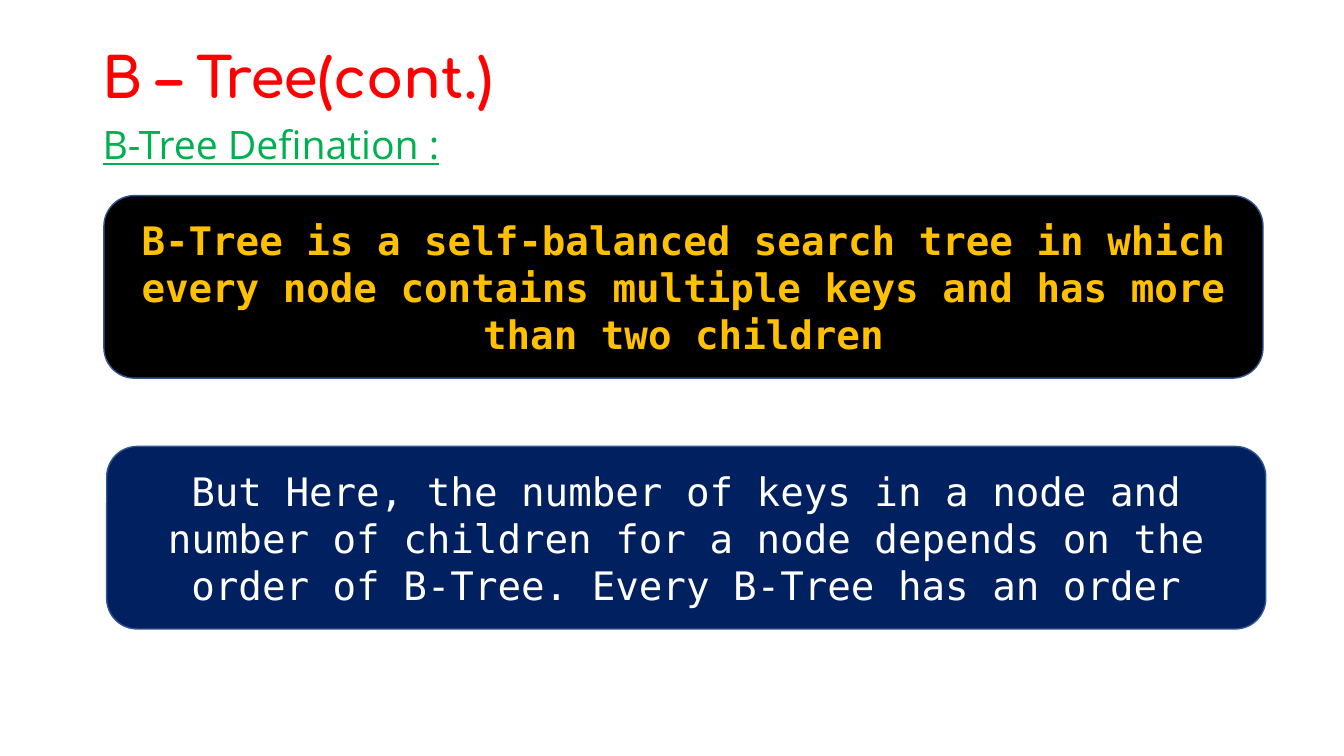
import pptx
import pptx.dml.color
import pptx.enum.shapes
import pptx.enum.text
import pptx.util
from lxml import etree

Cm = pptx.util.Cm
Pt = pptx.util.Pt
ALIGN = pptx.enum.text.PP_ALIGN
ANCHOR = pptx.enum.text.MSO_ANCHOR


def rgb(value):
    """Turn a hex string into a colour."""
    return pptx.dml.color.RGBColor.from_string(value)


def place(sp, box):
    """Move a shape to a box of left, top, width and height in centimetres."""
    sp.left, sp.top, sp.width, sp.height = (Cm(v) for v in box)


def write(sp, text, font, color, size=28, bold=False, underline=False,
          align=ALIGN.LEFT, anchor=ANCHOR.MIDDLE, spacing=1.0, before=0):
    """Fill a shape with one formatted paragraph."""
    tf = sp.text_frame
    tf.word_wrap = True
    tf.auto_size = pptx.enum.text.MSO_AUTO_SIZE.NONE
    tf.vertical_anchor = anchor
    p = tf.paragraphs[0]
    p.alignment = align
    p.line_spacing = spacing
    p.space_before = Pt(before)
    r = p.add_run()
    r.text = text
    r.font.name = font
    r.font.size = Pt(size)
    r.font.bold = bold
    r.font.underline = underline
    r.font.color.rgb = rgb(color)
    return p


def add_title(slide, box, text):
    """Place the slide title in its placeholder."""
    sp = slide.shapes.title
    place(sp, box)
    write(sp, text, "Comfortaa", "FF0000", size=39.6, bold=True, spacing=0.9)


def add_body(slide, box, text):
    """Place the underlined heading in the body placeholder, without a bullet."""
    sp = slide.placeholders[1]
    place(sp, box)
    p = write(sp, text, "Open Sans", "00B050", underline=True,
              anchor=ANCHOR.TOP, spacing=0.9, before=10)
    pPr = p._p.get_or_add_pPr()
    pPr.set("marL", "0")
    pPr.set("indent", "0")
    etree.SubElement(pPr, pptx.oxml.ns.qn("a:buNone"))


def add_panel(slide, box, text, fill, color, bold=False):
    """Draw a rounded panel with centred monospaced text."""
    sp = slide.shapes.add_shape(
        pptx.enum.shapes.MSO_SHAPE.ROUNDED_RECTANGLE, *(Cm(v) for v in box))
    sp.shadow.inherit = False
    sp.fill.solid()
    sp.fill.fore_color.rgb = rgb(fill)
    sp.line.color.rgb = rgb("325491")
    sp.line.width = Pt(1)
    write(sp, text, "DejaVu Sans Mono", color, bold=bold, align=ALIGN.CENTER)


def build_definition(prs):
    """Build the slide that defines a B-Tree."""
    slide = prs.slides.add_slide(prs.slide_layouts[1])
    add_title(slide, (2.33, 1.02, 27.15, 2.03), "B – Tree(cont.)")
    add_body(slide, (2.33, 3.05, 29.21, 14.1), "B-Tree Defination :")
    add_panel(slide, (2.62, 4.93, 29.21, 4.6),
              "B-Tree is a self-balanced search tree in which every node "
              "contains multiple keys and has more than two children",
              "000000", "FFC000", bold=True)
    add_panel(slide, (2.69, 11.25, 29.21, 4.6),
              "But Here, the number of keys in a node and number of children "
              "for a node depends on the order of B-Tree. Every B-Tree has "
              "an order", "002060", "FFFFFF")


prs = pptx.Presentation()
prs.slide_width, prs.slide_height = Cm(33.87), Cm(19.05)
build_definition(prs)
prs.save("out.pptx")
